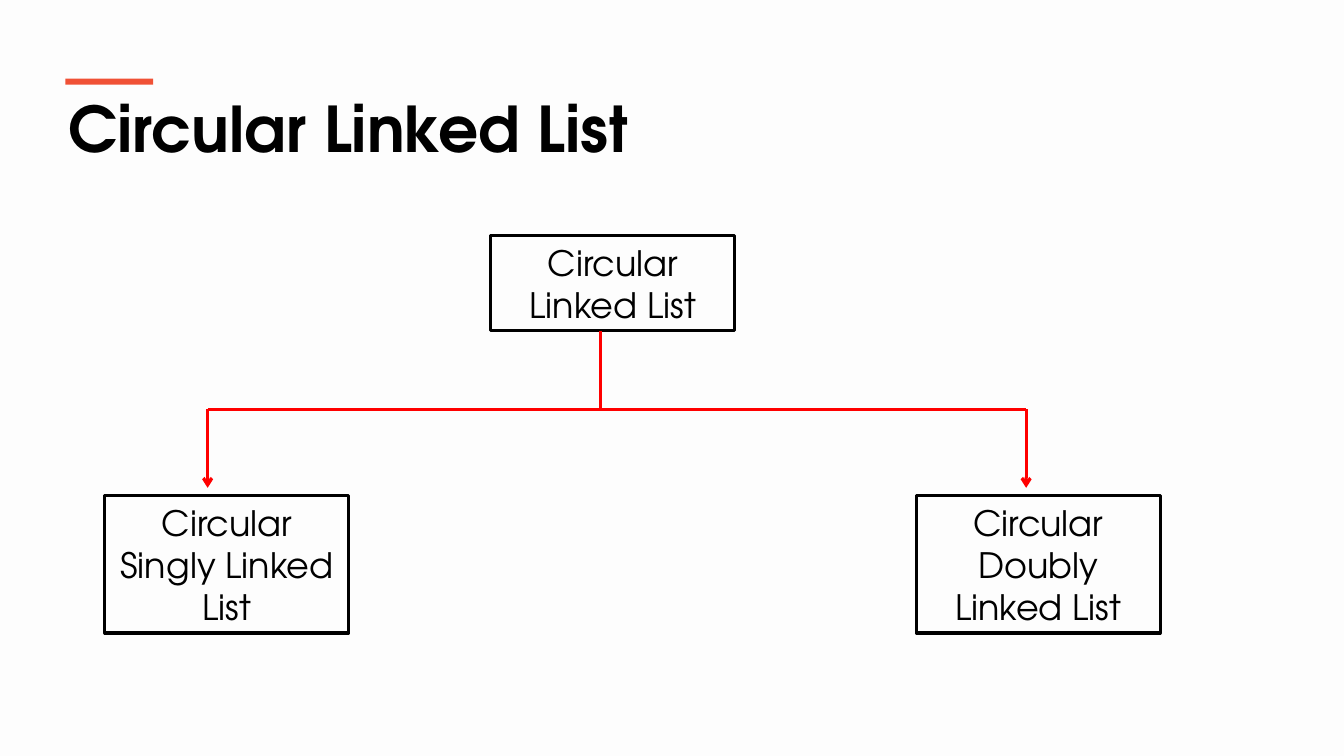
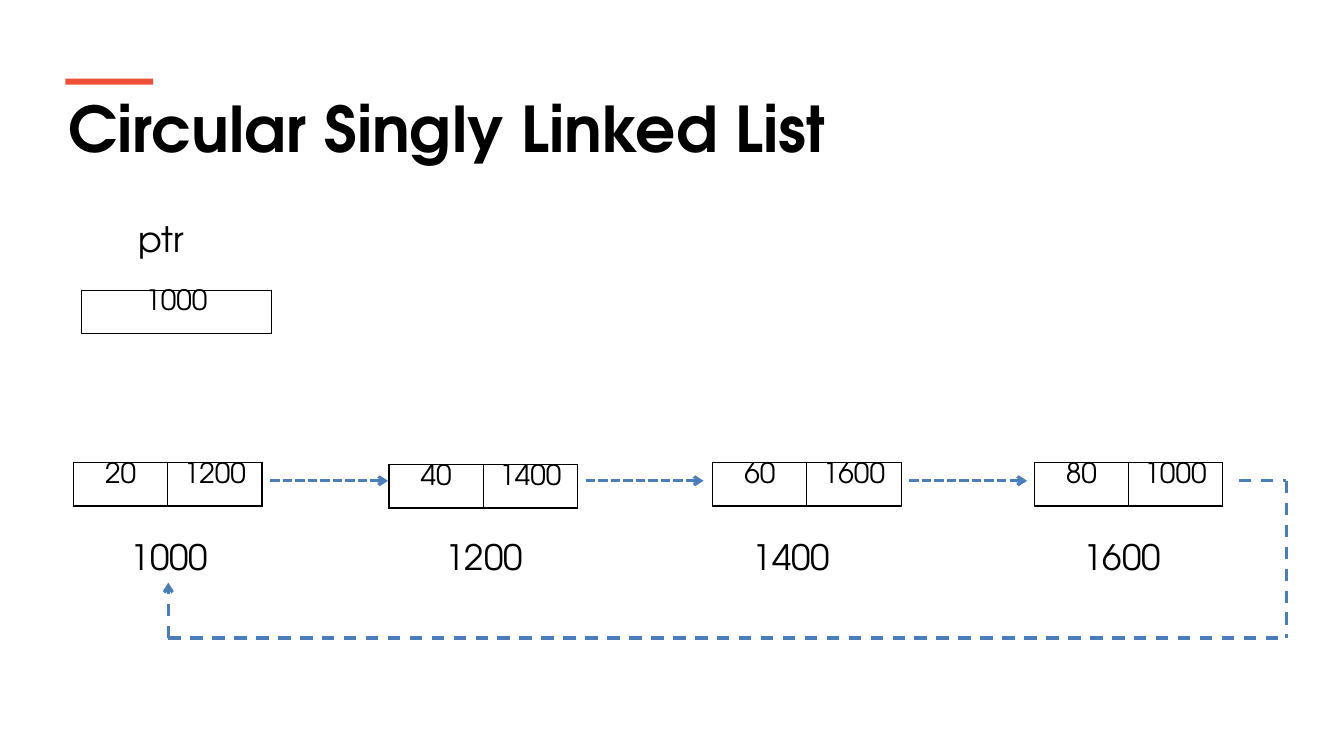
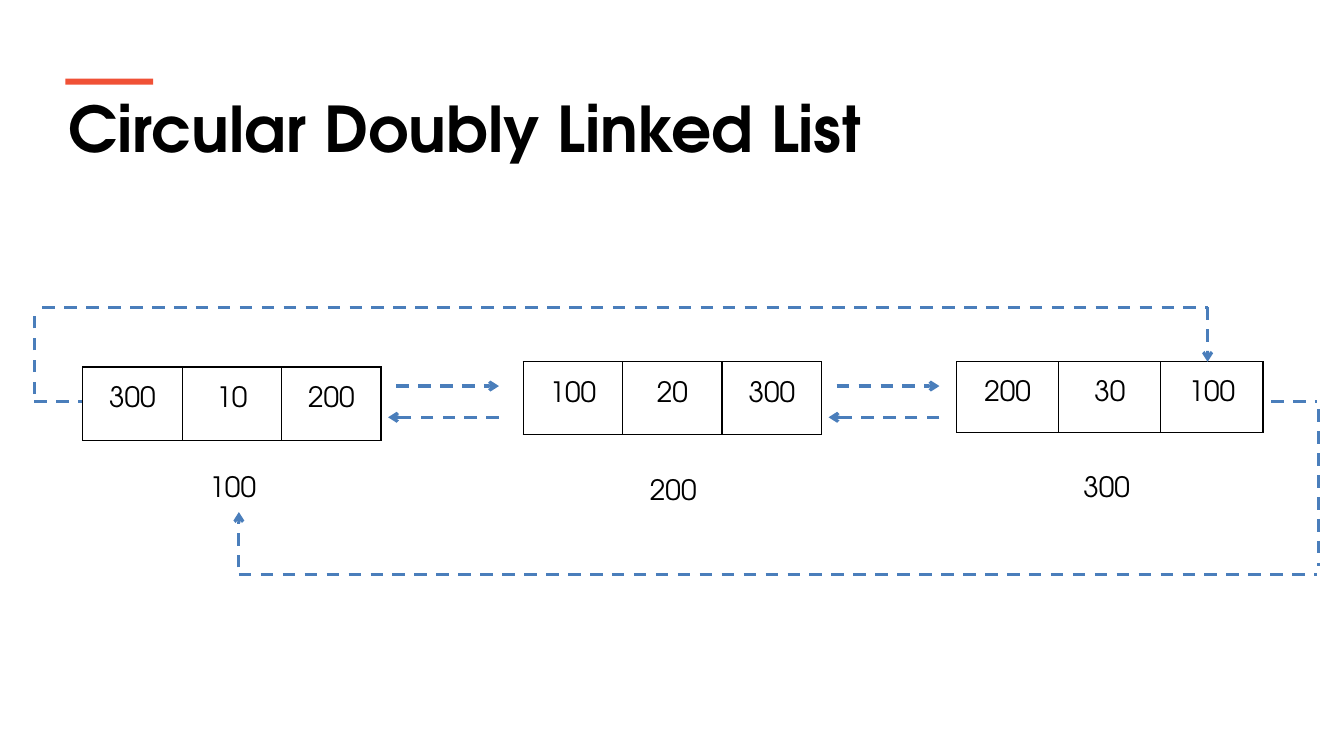
from dataclasses import dataclass

from lxml import etree
from pptx import Presentation
from pptx import util as u
from pptx.dml.color import RGBColor
from pptx.enum import dml, shapes, text
from pptx.oxml import ns


@dataclass(frozen=True)
class Theme:
    font: str = "TeX Gyre Adventor"
    ink: str = "000000"
    accent: str = "F05136"
    tree: str = "FF0000"
    loop: str = "4A7EBB"
    step: str = "4B7EBC"
    title: int = 45
    body: int = 25
    cell: int = 20
    line: float = 2.25
    border: int = 1


T = Theme()
GRID = u.Inches(0.1)
COLS, ROWS = 133.33, 75
DASH = dml.MSO_LINE.DASH
SHORT_DASH = dml.MSO_LINE.SQUARE_DOT
TITLE_AREA = (5.8, 8.4, 121.8, 8.6)
ACCENT_BAR = (6.5, 7.8, 8.7, 0.6)

TREE = {
    "title": "Circular Linked List",
    "background": "FDFDFD",
    "boxes": [
        ("Circular Linked List", 48.7, 23.4, 9.4),
        ("Circular Singly Linked List", 10.4, 49.2, 13.6),
        ("Circular Doubly Linked List", 90.9, 49.2, 13.6),
    ],
    "box_width": 24.2,
    "trunk": 59.6,
    "branches": (20.6, 101.8),
    "levels": (32.8, 40.6, 48.4),
}

SINGLY = {
    "title": "Circular Singly Linked List",
    "background": "FFFFFF",
    "nodes": [
        (["20", "1200"], 7.3, 45.9, 18.7, 4.3),
        (["40", "1400"], 38.6, 46.1, 18.7, 4.3),
        (["60", "1600"], 70.7, 45.9, 18.7, 4.3),
        (["80", "1000"], 102.6, 45.9, 18.7, 4.3),
        (["1000"], 8.1, 28.8, 18.8, 4.3),
    ],
    "anchor": text.MSO_ANCHOR.TOP,
    "labels": [
        ("ptr", 12.8, 21.1),
        ("1000", 12, 52.6),
        ("1200", 43.2, 52.6),
        ("1400", 73.7, 52.6),
        ("1600", 106.5, 52.6),
    ],
    "label_box": (12.5, 5.2),
    "label_size": T.body,
    "steps": [(0.8, 12.5, 47.7)],
    "step_style": (T.step, SHORT_DASH),
    "linked": 4,
    "loops": [
        (16.7, 63.3, 127.6, 63.3, False),
        (122.9, 47.7, 127.6, 47.7, False),
        (127.6, 47.7, 127.6, 63.3, False),
        (16.7, 63.3, 16.7, 57.8, True),
    ],
}

DOUBLY = {
    "title": "Circular Doubly Linked List",
    "background": "FFFFFF",
    "nodes": [
        (["300", "10", "200"], 8.2, 36.4, 29.6, 7.3),
        (["100", "20", "300"], 51.9, 35.9, 29.6, 7.2),
        (["200", "30", "100"], 94.9, 35.9, 30.4, 7),
    ],
    "anchor": text.MSO_ANCHOR.MIDDLE,
    "labels": [("100", 19.8, 46.1), ("200", 63.5, 46.4), ("300", 106.5, 46.1)],
    "label_box": (7, 4.4),
    "label_size": T.cell,
    "steps": [(1.5, 11.7, 38.3), (11.7, 0.7, 41.4)],
    "step_style": (T.loop, DASH),
    "linked": 3,
    "loops": [
        (23.7, 57, 130.7, 57, False),
        (126.1, 39.8, 130.7, 39.8, False),
        (130.8, 40.6, 130.8, 56.2, False),
        (23.7, 56.3, 23.7, 50.8, True),
        (4.2, 30.5, 119.8, 30.5, False),
        (3.4, 39.1, 3.4, 31.2, False),
        (119.8, 30.5, 119.8, 35.9, True),
        (3.4, 39.8, 8.1, 39.8, False),
    ],
}


def emu(*lengths):
    return [round(n * GRID) for n in lengths]


def rgb(value):
    return RGBColor.from_string(value)


def write(tf, content, size, bold=False, align=None):
    tf.text = content
    p = tf.paragraphs[0]
    p.alignment = align
    for r in p.runs:
        r.font.name, r.font.size, r.font.bold = T.font, u.Pt(size), bold
        r.font.color.rgb = rgb(T.ink)


def add_label(s, content, area, size, bold=False):
    tf = s.shapes.add_textbox(*emu(*area)).text_frame
    tf.word_wrap = True
    write(tf, content, size, bold)


def add_box(s, area, fill=None, content=None):
    sp = s.shapes.add_shape(shapes.MSO_SHAPE.RECTANGLE, *emu(*area))
    sp.shadow.inherit = False
    if fill:
        sp.fill.solid()
        sp.fill.fore_color.rgb = rgb(fill)
        sp.line.fill.background()
    else:
        sp.fill.background()
        sp.line.color.rgb, sp.line.width = rgb(T.ink), u.Pt(T.line)
    if content:
        tf = sp.text_frame
        tf.word_wrap = True
        tf.vertical_anchor = text.MSO_ANCHOR.MIDDLE
        write(tf, content, T.body, align=text.PP_ALIGN.CENTER)


def add_link(s, ends, color, dash=None, arrow=False):
    link = s.shapes.add_connector(shapes.MSO_CONNECTOR.STRAIGHT, *emu(*ends))
    link.line.color.rgb, link.line.width = rgb(color), u.Pt(T.line)
    if dash:
        link.line.dash_style = dash
    if arrow:
        ln = link.line.fill._xPr
        etree.SubElement(ln, ns.qn("a:tailEnd"), type="arrow")
    etree.SubElement(link._element.spPr, ns.qn("a:effectLst"))


def add_borders(cell):
    tcPr = cell._tc.get_or_add_tcPr()
    for i, side in enumerate(("lnL", "lnR", "lnT", "lnB")):
        ln = etree.Element(ns.qn(f"a:{side}"), w=str(u.Pt(T.border)))
        fill = etree.SubElement(ln, ns.qn("a:solidFill"))
        etree.SubElement(fill, ns.qn("a:srgbClr"), val=T.ink)
        tcPr.insert(i, ln)


def add_node(s, values, area, anchor):
    table = s.shapes.add_table(1, len(values), *emu(*area)).table
    table.first_row = table.horz_banding = False
    for cell, value in zip(table.rows[0].cells, values):
        cell.fill.background()
        cell.vertical_anchor = anchor
        cell.margin_left = cell.margin_right = cell.margin_top = 0
        cell.margin_bottom = u.Inches(0.07)
        write(cell.text_frame, value, T.cell, align=text.PP_ALIGN.CENTER)
        add_borders(cell)


def new_slide(prs, content):
    s = prs.slides.add_slide(prs.slide_layouts[6])
    s.background.fill.solid()
    s.background.fill.fore_color.rgb = rgb(content["background"])
    add_label(s, content["title"], TITLE_AREA, T.title, bold=True)
    add_box(s, ACCENT_BAR, fill=T.accent)
    return s


def draw_tree(prs, content):
    s = new_slide(prs, content)
    for name, x, y, height in content["boxes"]:
        add_box(s, (x, y, content["box_width"], height), content=name)
    trunk, (left, right) = content["trunk"], content["branches"]
    top, middle, bottom = content["levels"]
    add_link(s, (trunk, top, trunk, middle), T.tree)
    add_link(s, (left, middle, right, middle), T.tree)
    for x in (left, right):
        add_link(s, (x, middle, x, bottom), T.tree, arrow=True)


def draw_list(prs, content):
    s = new_slide(prs, content)
    for values, *area in content["nodes"]:
        add_node(s, values, area, content["anchor"])
    for name, x, y in content["labels"]:
        add_label(s, name, (x, y, *content["label_box"]), content["label_size"])
    for _, x, _, width, _ in content["nodes"][:content["linked"] - 1]:
        edge = x + width
        for start, end, y in content["steps"]:
            add_link(s, (edge + start, y, edge + end, y),
                     *content["step_style"], arrow=True)
    for *ends, arrow in content["loops"]:
        add_link(s, ends, T.loop, DASH, arrow)


def main():
    prs = Presentation()
    prs.slide_width, prs.slide_height = emu(COLS, ROWS)
    draw_tree(prs, TREE)
    for content in (SINGLY, DOUBLY):
        draw_list(prs, content)
    prs.save("out.pptx")


if __name__ == "__main__":
    main()
